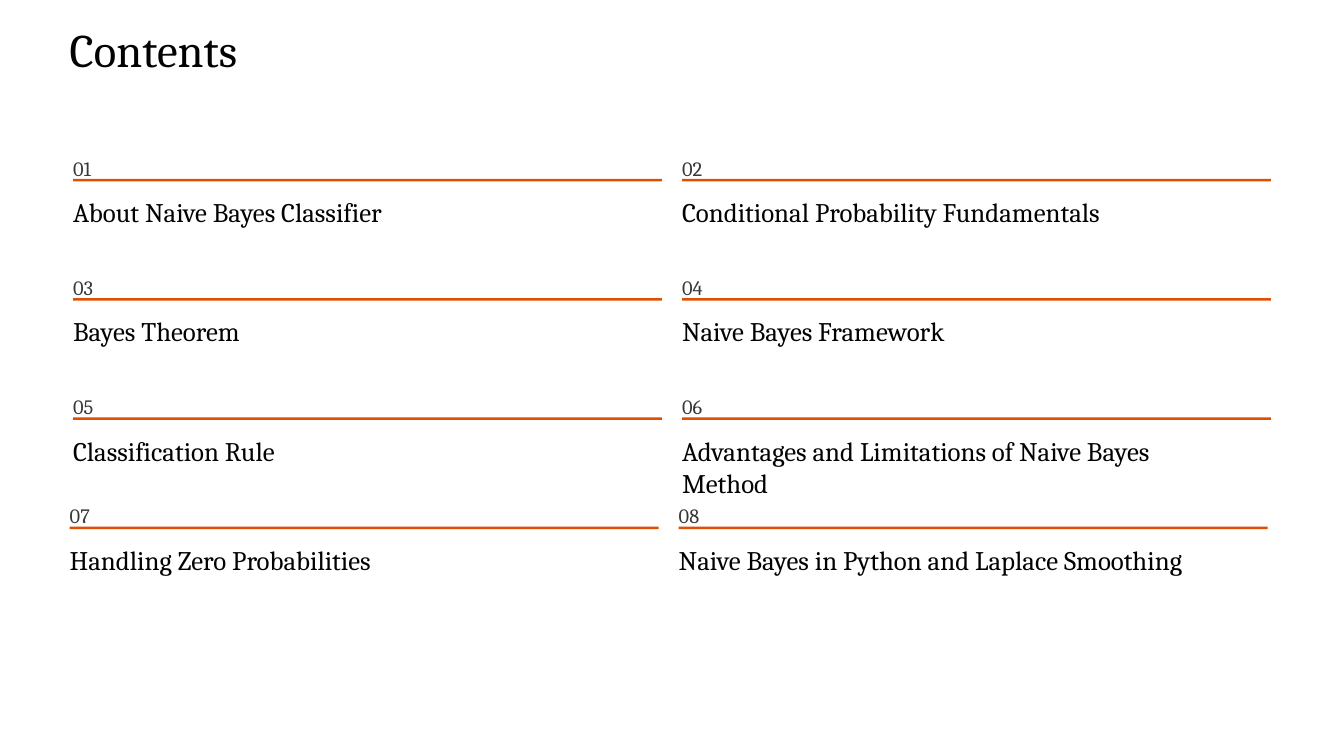
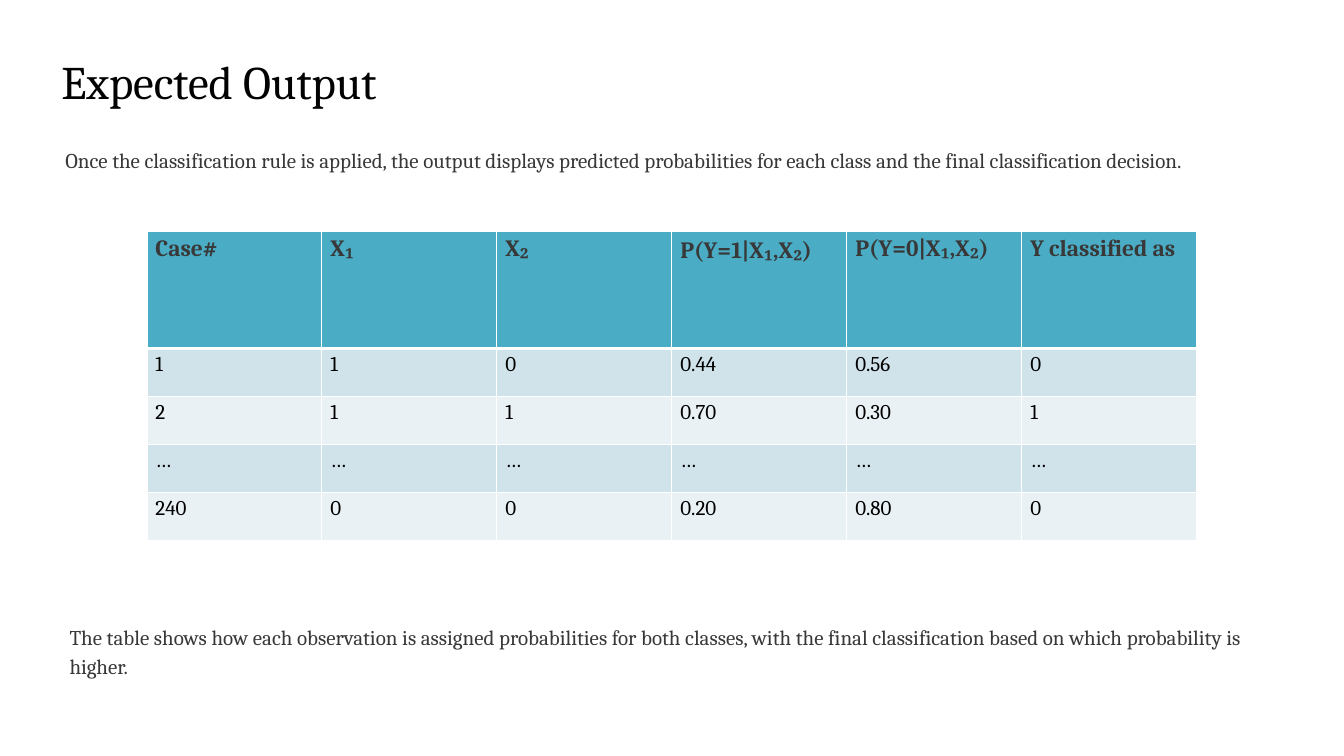
import pptx
import pptx.util
import pptx.dml.color
import pptx.enum.shapes
import pptx.enum.text
import pptx.oxml
import pptx.oxml.ns

Inches = pptx.util.Inches
Pt = pptx.util.Pt

FONT = "Cambria"
HUES = {
    "ink": "020202",
    "gray": "383838",
    "rule": "E04F00",
    "head": "4BACC6",
    "odd": "D0E3EA",
    "even": "E9F1F5",
    "edge": "FFFFFF",
    "black": "000000",
}

TOPICS = [
    ("About Naive Bayes Classifier", "Conditional Probability Fundamentals"),
    ("Bayes Theorem", "Naive Bayes Framework"),
    ("Classification Rule", "Advantages and Limitations of Naive Bayes Method"),
    ("Handling Zero Probabilities", "Naive Bayes in Python and Laplace Smoothing"),
]
STARTS = [(0.87, 1.75), (0.87, 3.17), (0.87, 4.59), (0.83, 5.89)]
STEP = 7.25

INTRO = (
    "Once the classification rule is applied, the output displays predicted "
    "probabilities for each class and the final classification decision."
)
CLOSE = (
    "The table shows how each observation is assigned probabilities for both "
    "classes, with the final classification based on which probability is higher."
)
CASES = [
    ("Case#", "X₁", "X₂", "P(Y=1|X₁,X₂)", "P(Y=0|X₁,X₂)", "Y classified as"),
    ("1", "1", "0", "0.44", "0.56", "0"),
    ("2", "1", "1", "0.70", "0.30", "1"),
    ("…",) * 6,
    ("240", "0", "0", "0.20", "0.80", "0"),
]
HEIGHTS = [1.4] + [0.57] * 4


def color(name):
    return pptx.dml.color.RGBColor.from_string(HUES[name])


def style(para, size, hue, bold=False, space=None):
    para.font.name = FONT
    para.font.size = Pt(size)
    para.font.bold = bold
    para.font.color.rgb = color(hue)
    if space:
        para.line_spacing = Pt(space)


def inset(frame, side, edge):
    frame.margin_left = frame.margin_right = Inches(side)
    frame.margin_top = frame.margin_bottom = Inches(edge)


def start(deck, text, left, top):
    slide = deck.slides.add_slide(deck.slide_layouts[5])
    title = slide.shapes.title
    title.left, title.top = Inches(left), Inches(top)
    title.width, title.height = Inches(14.93), Inches(1.3)
    frame = title.text_frame
    frame.text = text
    frame.vertical_anchor = pptx.enum.text.MSO_ANCHOR.TOP
    frame.auto_size = pptx.enum.text.MSO_AUTO_SIZE.NONE
    inset(frame, 0, 0)
    para = frame.paragraphs[0]
    para.alignment = pptx.enum.text.PP_ALIGN.LEFT
    style(para, 40, "ink")
    return slide


def write(slide, text, place, size, hue, space=None, wrap=False):
    box = slide.shapes.add_textbox(*map(Inches, place))
    frame = box.text_frame
    frame.word_wrap = wrap
    if not wrap:
        inset(frame, 0, 0)
    frame.text = text
    style(frame.paragraphs[0], size, hue, space=space)


def topic(slide, count, text, left, top):
    write(slide, f"{count:02d}", (left, top, 0.25, 0.31), 17.5, "gray", 28.5)
    place = map(Inches, (left, top + 0.38, 7.01, 0.03))
    rule = slide.shapes.add_shape(pptx.enum.shapes.MSO_SHAPE.RECTANGLE, *place)
    rule.shadow.inherit = False
    rule.fill.solid()
    rule.fill.fore_color.rgb = color("rule")
    rule.line.fill.background()
    write(slide, text, (left, top + 0.58, 6.04, 0.55), 23, "ink")


def border(cell, row):
    widths = {"L": 1, "R": 1, "T": 3 if row == 1 else 1, "B": 3 if row == 0 else 1}
    props = cell._tc.get_or_add_tcPr()
    for side, width in widths.items():
        props.append(pptx.oxml.parse_xml(
            f'<a:ln{side} {pptx.oxml.ns.nsdecls("a")} w="{Pt(width)}">'
            f'<a:solidFill><a:srgbClr val="{HUES["edge"]}"/></a:solidFill>'
            f'</a:ln{side}>'
        ))


def grid(slide):
    place = map(Inches, (1.75, 2.75, 12.5, sum(HEIGHTS)))
    table = slide.shapes.add_table(len(CASES), len(CASES[0]), *place).table
    for row, (texts, height) in enumerate(zip(CASES, HEIGHTS)):
        table.rows[row].height = Inches(height)
        head = row == 0
        for col, text in enumerate(texts):
            cell = table.cell(row, col)
            border(cell, row)
            cell.fill.solid()
            cell.fill.fore_color.rgb = color("head" if head else "odd" if row % 2 else "even")
            cell.text = text
            para = cell.text_frame.paragraphs[0]
            if head:
                style(para, 20, "gray", True, 25 if col == 3 else None)
            else:
                style(para, 18, "black")


def main():
    deck = pptx.Presentation()
    deck.slide_width, deck.slide_height = Inches(16), Inches(9)

    slide = start(deck, "Contents", 0.83, 0.25)
    for row, (pair, (left, top)) in enumerate(zip(TOPICS, STARTS)):
        for col, text in enumerate(pair):
            topic(slide, 2 * row + col + 1, text, left + col * STEP, top)

    slide = start(deck, "Expected Output", 0.73, 0.63)
    write(slide, INTRO, (0.68, 1.66, 14.97, 0.43), 18, "gray", 25, True)
    grid(slide)
    write(slide, CLOSE, (0.73, 7.34, 14.77, 0.78), 18, "gray", 25, True)

    deck.save("out.pptx")


if __name__ == "__main__":
    main()
